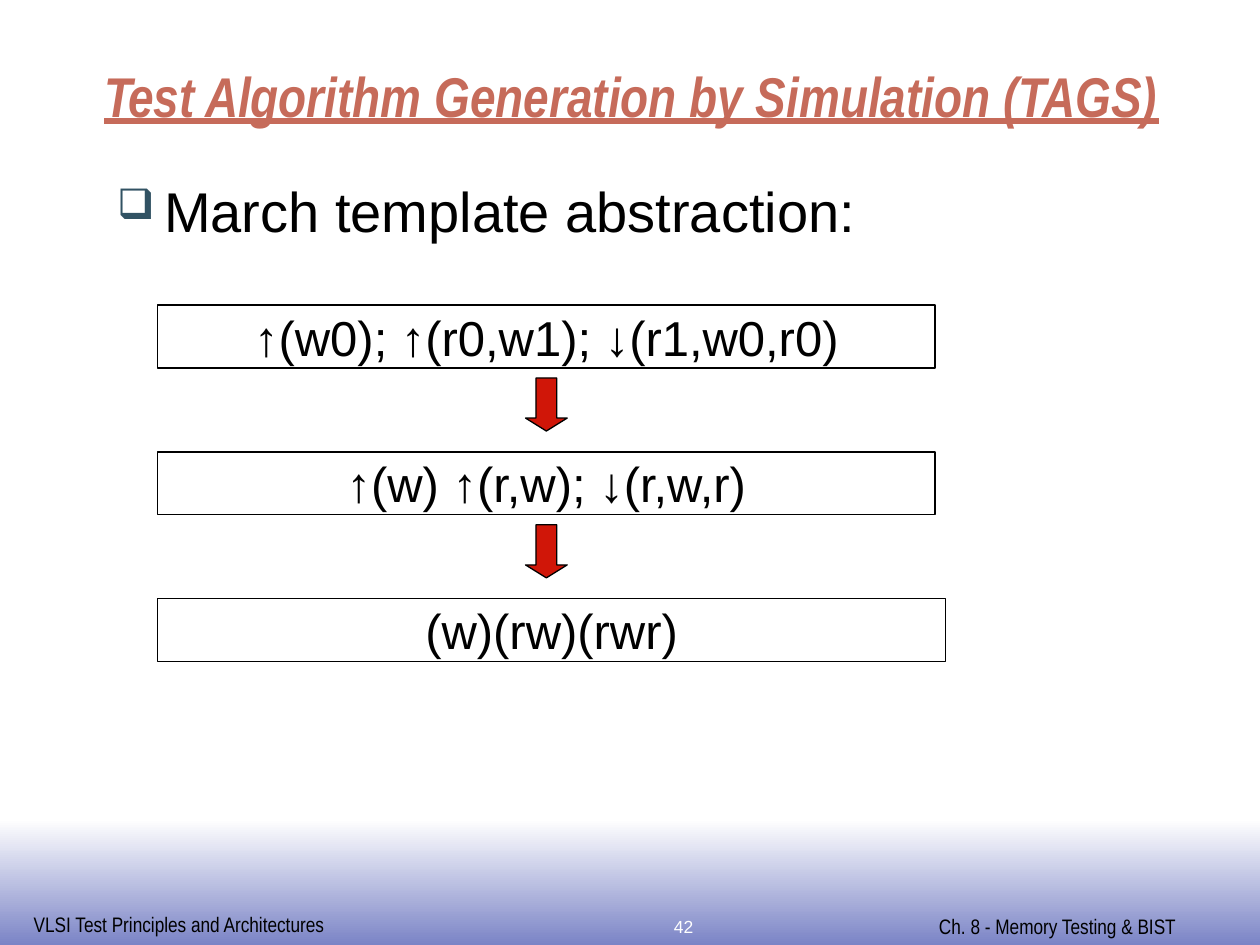
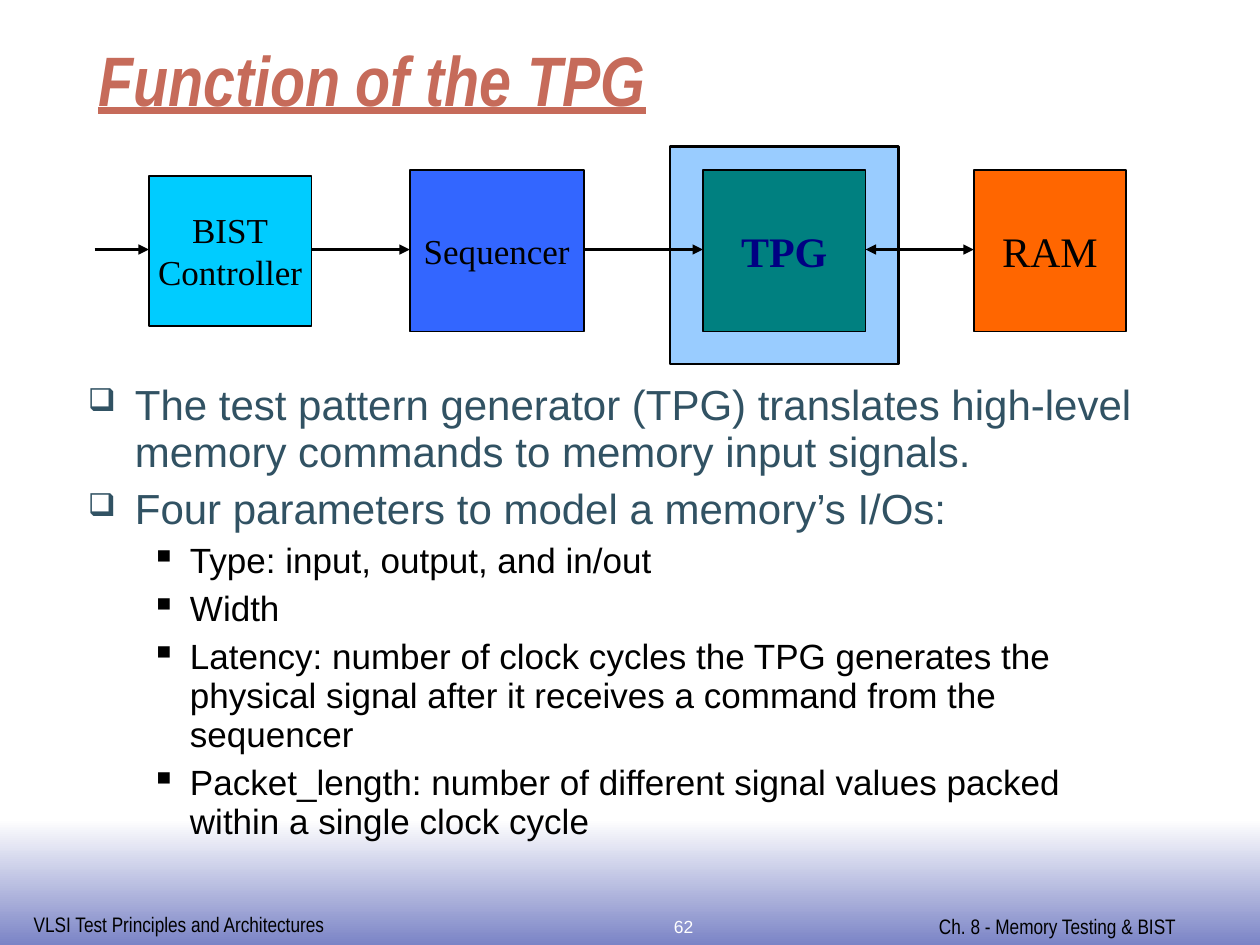
from lxml import etree
from pptx import Presentation
from pptx.dml.color import RGBColor
from pptx.enum import shapes, text
from pptx.oxml.ns import qn
from pptx.util import Cm, Pt

# Content
FOOTER_LEFT = "VLSI Test Principles and Architectures"
FOOTER_RIGHT = "Ch. 8 - Memory Testing & BIST"

MARCH_TITLE = "Test Algorithm Generation by Simulation (TAGS)"
MARCH_BODY = [(0, "March template abstraction:")]
# Text, box width
MARCH_STEPS = [
    ("↑(w0); ↑(r0,w1); ↓(r1,w0,r0)", 15.67),
    ("↑(w) ↑(r,w); ↓(r,w,r)", 15.67),
    ("(w)(rw)(rwr)", 15.88),
]

TPG_TITLE = "Function of the TPG"
# Text, left, width, height, fill, size, colour, bold
TPG_BLOCKS = [
    ("BIST\nController", 3.0, 3.28, 3.02, "00CCFF", 20, "000000", False),
    ("Sequencer", 8.26, 3.51, 3.25, "3366FF", 20, "000000", False),
    ("TPG", 14.17, 3.28, 3.25, "008080", 24, "000082", True),
    ("RAM", 19.63, 3.07, 3.25, "FF6600", 24, "000000", False),
]
TPG_BODY = [
    (0, "The test pattern generator (TPG) translates high-level memory commands "
        "to memory input signals."),
    (0, "Four parameters to model a memory’s I/Os:"),
    (1, "Type: input, output, and in/out"),
    (1, "Width"),
    (1, "Latency: number of clock cycles the TPG generates the physical signal "
        "after it receives a command from the sequencer"),
    (1, "Packet_length: number of different signal values packed within a single "
        "clock cycle"),
]

# Shared style
BLACK, WHITE, TITLE_RED, SLATE = "000000", "FFFFFF", "C66B5A", "315263"
BAND_BLUE, ARROW_RED, FRAME_BLUE = "7B84C6", "D01608", "99CCFF"
SANS, NARROW, SERIF = "Arial", "Arial Narrow", "Times New Roman"
CENTER = text.PP_ALIGN.CENTER
# Level: bullet, bullet colour, bullet size in percent, left margin, hanging indent
BULLETS = [("❑", SLATE, 75, 0.95, 0.95), ("▪", BLACK, 100, 2.06, 0.79)]


def color(value):
    return RGBColor.from_string(value)


def format_text(shape, size, font_name, font_color, align=None, bold=False):
    for paragraph in shape.text_frame.paragraphs:
        paragraph.alignment = align
        for run in paragraph.runs:
            run.font.size = Pt(size)
            run.font.name = font_name
            run.font.bold = bold
            run.font.color.rgb = color(font_color)


def add_text(slide, box, content, size, font_name, font_color, align=None, bold=False):
    shape = slide.shapes.add_textbox(*map(Cm, box))
    shape.text_frame.word_wrap = True
    shape.text_frame.text = content
    format_text(shape, size, font_name, font_color, align, bold)
    return shape


def add_shape(slide, kind, box, fill=None, line_width=0.75):
    shape = slide.shapes.add_shape(kind, *map(Cm, box))
    shape.shadow.inherit = False
    if fill:
        shape.fill.solid()
        shape.fill.fore_color.rgb = color(fill)
    else:
        shape.fill.background()
    shape.line.color.rgb = color(BLACK)
    shape.line.width = Pt(line_width)
    return shape


def add_label_box(slide, box, content, size, font_name, font_color=BLACK,
                  fill=None, line_width=0.75, bold=False):
    shape = add_shape(slide, shapes.MSO_SHAPE.RECTANGLE, box, fill, line_width)
    shape.text_frame.text = content
    shape.text_frame.word_wrap = False
    shape.text_frame.vertical_anchor = text.MSO_ANCHOR.MIDDLE
    format_text(shape, size, font_name, font_color, CENTER, bold)


def add_arrow(slide, start, end, y, ends=("tailEnd",)):
    connector = slide.shapes.add_connector(
        shapes.MSO_CONNECTOR.STRAIGHT, Cm(start), Cm(y), Cm(end), Cm(y))
    connector.line.color.rgb = color(BLACK)
    connector.line.width = Pt(1.5)
    line = connector.line._get_or_add_ln()
    for end_name in ends:
        etree.SubElement(line, qn("a:" + end_name), type="triangle")
    etree.SubElement(connector._element.spPr, qn("a:effectLst"))


def set_bullet(paragraph, level):
    mark, mark_color, percent, margin, hanging = BULLETS[level]
    properties = paragraph._p.get_or_add_pPr()
    properties.set("marL", str(Cm(margin)))
    properties.set("indent", str(-Cm(hanging)))
    bullet_color = etree.SubElement(properties, qn("a:buClr"))
    etree.SubElement(bullet_color, qn("a:srgbClr"), val=mark_color)
    etree.SubElement(properties, qn("a:buSzPct"), val=str(percent * 1000))
    etree.SubElement(properties, qn("a:buChar"), char=mark)


def add_bullets(slide, box, items, styles, line_spacing=1.0):
    """Each level's style holds its size, colour and space before."""
    frame = add_text(slide, box, "\n".join(item for _, item in items),
                     20, SANS, BLACK).text_frame
    for paragraph, (level, _) in zip(frame.paragraphs, items):
        size, font_color, space_before = styles[level]
        paragraph.line_spacing = line_spacing
        paragraph.space_before = Pt(space_before)
        set_bullet(paragraph, level)
        paragraph.runs[0].font.size = Pt(size)
        paragraph.runs[0].font.color.rgb = color(font_color)


def add_base_slide(presentation, title, title_box, title_size, number):
    slide = presentation.slides.add_slide(presentation.slide_layouts[6])

    # Footer band
    band = add_shape(slide, shapes.MSO_SHAPE.RECTANGLE, (0, 16.51, 25.4, 2.54))
    band.line.fill.background()
    band.fill.gradient()
    band.fill.gradient_angle = 270
    for stop, position, stop_color in zip(band.fill.gradient_stops, (0, 1),
                                          (WHITE, BAND_BLUE)):
        stop.position = position
        stop.color.rgb = color(stop_color)

    # Footer texts
    add_text(slide, (0.43, 18.26, 6.43, 0.76), FOOTER_LEFT, 12, NARROW, BLACK)
    add_text(slide, (18.68, 18.29, 6.5, 0.76), FOOTER_RIGHT, 12, NARROW, BLACK)
    add_text(slide, (10.82, 18.34, 5.92, 0.66), str(number), 10, SANS, WHITE, CENTER)

    # Title
    heading = add_text(slide, title_box, title, title_size, NARROW, TITLE_RED, bold=True)
    heading.text_frame.vertical_anchor = text.MSO_ANCHOR.BOTTOM
    font = heading.text_frame.paragraphs[0].runs[0].font
    font.italic = font.underline = True
    return slide


def build_march_slide(presentation):
    slide = add_base_slide(presentation, MARCH_TITLE, (1.85, 1.07, 22.73, 1.65), 32, 42)
    add_bullets(slide, (2.11, 3.43, 15.85, 1.7), MARCH_BODY, [(32, BLACK, 8)])

    # Abstraction steps, with an arrow below each but the last
    left, first_top, pitch, height = 3.18, 6.15, 2.96, 1.27
    arrow_width, arrow_height, arrow_gap = 0.84, 1.07, 0.2
    for index, (step, width) in enumerate(MARCH_STEPS):
        top = first_top + index * pitch
        add_label_box(slide, (left, top, width, height), step, 28, SANS)
        if index < len(MARCH_STEPS) - 1:
            arrow = add_shape(
                slide, shapes.MSO_SHAPE.DOWN_ARROW,
                (left + (width - arrow_width) / 2, top + height + arrow_gap,
                 arrow_width, arrow_height), ARROW_RED)
            arrow.adjustments[1] = 0.31


def build_tpg_slide(presentation):
    slide = add_base_slide(presentation, TPG_TITLE, (1.73, 0.71, 17.88, 1.85), 40, 62)
    add_bullets(slide, (1.52, 7.59, 22.07, 9.86), TPG_BODY,
                [(24, SLATE, 6), (20, BLACK, 5)], 0.93)

    # Block diagram, with the TPG framed
    middle, arrow_y = 5.06, 5.03
    add_shape(slide, shapes.MSO_SHAPE.RECTANGLE, (13.51, 2.95, 4.6, 4.39), FRAME_BLUE, 1.5)
    for label, left, width, height, fill, size, font_color, bold in TPG_BLOCKS:
        add_label_box(slide, (left, middle - height / 2, width, height), label,
                      size, SERIF, font_color, fill, 1, bold)

    # Arrows into each block; the last runs both ways
    start = 1.91
    for label, left, width, *_ in TPG_BLOCKS:
        ends = ("headEnd", "tailEnd") if label == "RAM" else ("tailEnd",)
        add_arrow(slide, start, left, arrow_y, ends)
        start = left + width


def main():
    presentation = Presentation()
    presentation.slide_width, presentation.slide_height = Cm(25.4), Cm(19.05)
    build_march_slide(presentation)
    build_tpg_slide(presentation)
    presentation.save("out.pptx")


if __name__ == "__main__":
    main()
